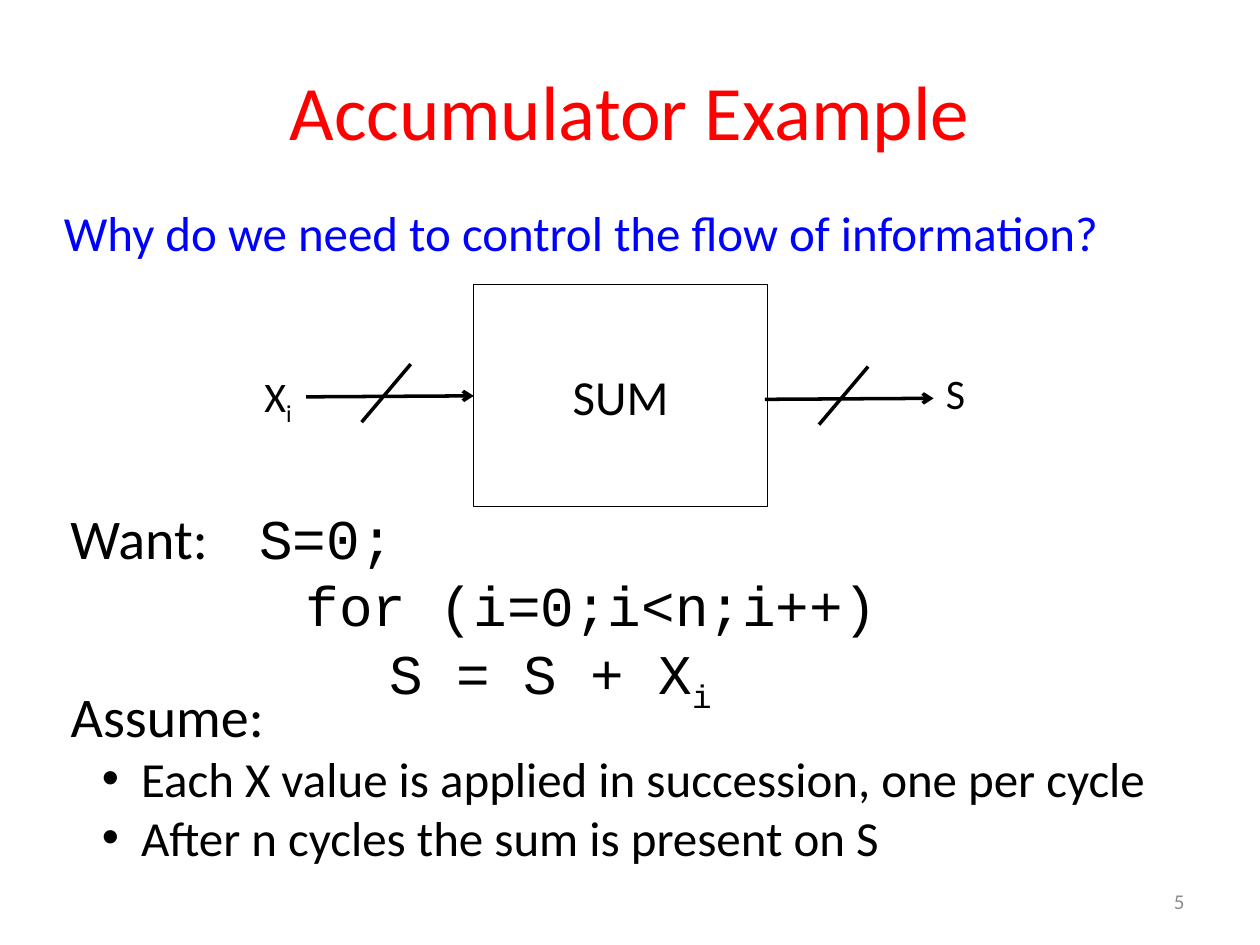
import pptx
import pptx.dml.color
import pptx.enum.shapes
import pptx.enum.text
import pptx.oxml
import pptx.oxml.ns
import pptx.util
from pptx.util import Cm

ALIGN = pptx.enum.text.PP_ALIGN
ANCHOR = pptx.enum.text.MSO_ANCHOR

THEME = {
    "font": "Calibri", "code": "Courier New",
    "black": "000000", "white": "FFFFFF", "red": "FF0000", "blue": "0000FF", "grey": "8C8C8C",
    "title": 44, "large": 32, "medium": 28, "label": 24, "small": 12,
    "outline": 0.75, "wire": 2,
}

# Content: each paragraph is (runs, format); each run is (text, format)
CODE = {"font": "code"}
TITLE = [([("Accumulator Example", {})], {"alignment": ALIGN.CENTER, "line_spacing": 0.87})]
QUESTION = [([("Why do we need to control the flow of information?", {})], {})]
PROGRAM = [
    ([("Want:", {}), ("\tS=0;", CODE)], {"tab": 4.78}),
    ([("for (i=0;i<n;i++)", CODE)], {"indent": 4.74}),
    ([("S = S + X", CODE), ("i", {"font": "code", "subscript": True})], {"indent": 6.43}),
]
BULLET = {"level": 1, "indent": 1.42, "hanging": 0.79, "bullet": "•"}
ASSUMPTIONS = [
    ([("Assume:", {})], {}),
    ([("Each X value is applied in succession, one per cycle", {"size": "medium"})], BULLET),
    ([("After n cycles the sum is present on S", {"size": "medium"})], BULLET),
]
BLOCK = [([("SUM", {})], {"alignment": ALIGN.CENTER})]
INPUT = [([("X", {}), ("i", {"subscript": True})], {})]
OUTPUT = [([("S", {})], {})]
NUMBER = [([("5", {})], {"alignment": ALIGN.RIGHT})]

# Text boxes: paragraphs, place in cm, size, colour, frame format
LOOSE = {"word_wrap": False}
TEXT_BOXES = [
    (PROGRAM, (1.17, 10.03, 16.92, 4.37), "large", "black", LOOSE),
    (QUESTION, (1.04, 3.96, 21.56, 1.45), "medium", "blue", LOOSE),
    (NUMBER, (18.21, 17.65, 5.92, 1.02), "small", "grey",
     {"word_wrap": True, "vertical_anchor": ANCHOR.MIDDLE}),
    (INPUT, (5.08, 7.34, 1.09, 1.3), "label", "black", LOOSE),
    (OUTPUT, (18.82, 7.29, 0.91, 1.3), "label", "black", LOOSE),
]

# Buses: start and end of the arrow, lower left corner of the slash
BUSES = [
    ((6.17, 8.0), (9.55, 7.98), (7.29, 8.51)),
    ((15.42, 8.05), (18.82, 8.03), (16.51, 8.56)),
]
SLASH_WIDTH, SLASH_HEIGHT = 0.99, 1.17


def rgb(name):
    return pptx.dml.color.RGBColor.from_string(THEME[name])


def set_all(target, values):
    for name, value in values.items():
        setattr(target, name, value)


def add_xml(parent, tag, **attributes):
    element = pptx.oxml.parse_xml(f"<a:{tag} {pptx.oxml.ns.nsdecls('a')}/>")
    for name, value in attributes.items():
        element.set(name, str(value))
    parent.append(element)
    return element


def format_paragraph(paragraph, values):
    set_all(paragraph, {"space_before": pptx.util.Pt(0), "level": values.get("level", 0),
                        "alignment": values.get("alignment", ALIGN.LEFT),
                        "line_spacing": values.get("line_spacing", 1.0)})
    properties = paragraph._p.get_or_add_pPr()
    properties.set("marL", str(Cm(values.get("indent", 0))))
    properties.set("indent", str(-Cm(values.get("hanging", 0))))
    if "bullet" in values:
        add_xml(properties, "buChar", char=values["bullet"])
    else:
        add_xml(properties, "buNone")
    if "tab" in values:
        add_xml(add_xml(properties, "tabLst"), "tab", pos=Cm(values["tab"]), algn="l")


def write(shape, paragraphs, size, colour, frame_format):
    frame = shape.text_frame
    set_all(frame, {"auto_size": pptx.enum.text.MSO_AUTO_SIZE.NONE, **frame_format})
    for index, (runs, values) in enumerate(paragraphs):
        paragraph = frame.add_paragraph() if index else frame.paragraphs[0]
        format_paragraph(paragraph, values)
        for text, style in runs:
            run = paragraph.add_run()
            run.text = text
            set_all(run.font, {"name": THEME[style.get("font", "font")],
                               "size": pptx.util.Pt(THEME[style.get("size", size)])})
            run.font.color.rgb = rgb(colour)
            if style.get("subscript"):
                run._r.get_or_add_rPr().set("baseline", "-25000")


def place(shape, box):
    set_all(shape, dict(zip(("left", "top", "width", "height"), map(Cm, box))))


def add_line(slide, start, end, arrow=False):
    connector = slide.shapes.add_connector(
        pptx.enum.shapes.MSO_CONNECTOR.STRAIGHT, *map(Cm, start + end))
    connector.line.color.rgb = rgb("black")
    connector.line.width = pptx.util.Pt(THEME["wire"])
    if arrow:
        add_xml(connector.line._get_or_add_ln(), "tailEnd", type="arrow")
    add_xml(connector._element.spPr, "effectLst")


def main():
    presentation = pptx.Presentation()
    set_all(presentation, {"slide_width": Cm(25.4), "slide_height": Cm(19.05)})
    slide = presentation.slides.add_slide(presentation.slide_layouts[1])

    # Title and assumptions
    title, body = slide.placeholders
    place(title, (1.27, 0.76, 22.86, 3.18))
    write(title, TITLE, "title", "red", {"vertical_anchor": ANCHOR.MIDDLE})
    place(body, (1.17, 13.61, 23.24, 4.04))
    write(body, ASSUMPTIONS, "large", "black", {"word_wrap": True})

    # Question, program, labels and slide number
    for paragraphs, box, size, colour, frame_format in TEXT_BOXES:
        text_box = slide.shapes.add_textbox(*map(Cm, box))
        write(text_box, paragraphs, size, colour, frame_format)

    # Accumulator block
    block = slide.shapes.add_shape(
        pptx.enum.shapes.MSO_SHAPE.RECTANGLE, *map(Cm, (9.55, 5.74, 5.92, 4.47)))
    block.shadow.inherit = False
    block.fill.solid()
    block.fill.fore_color.rgb = rgb("white")
    block.line.color.rgb = rgb("black")
    block.line.width = pptx.util.Pt(THEME["outline"])
    write(block, BLOCK, "medium", "black", {"vertical_anchor": ANCHOR.MIDDLE})

    # Buses with their slashes
    for start, end, (left, bottom) in BUSES:
        add_line(slide, start, end, arrow=True)
        add_line(slide, (left, bottom), (left + SLASH_WIDTH, bottom - SLASH_HEIGHT))

    presentation.save("out.pptx")


if __name__ == "__main__":
    main()
